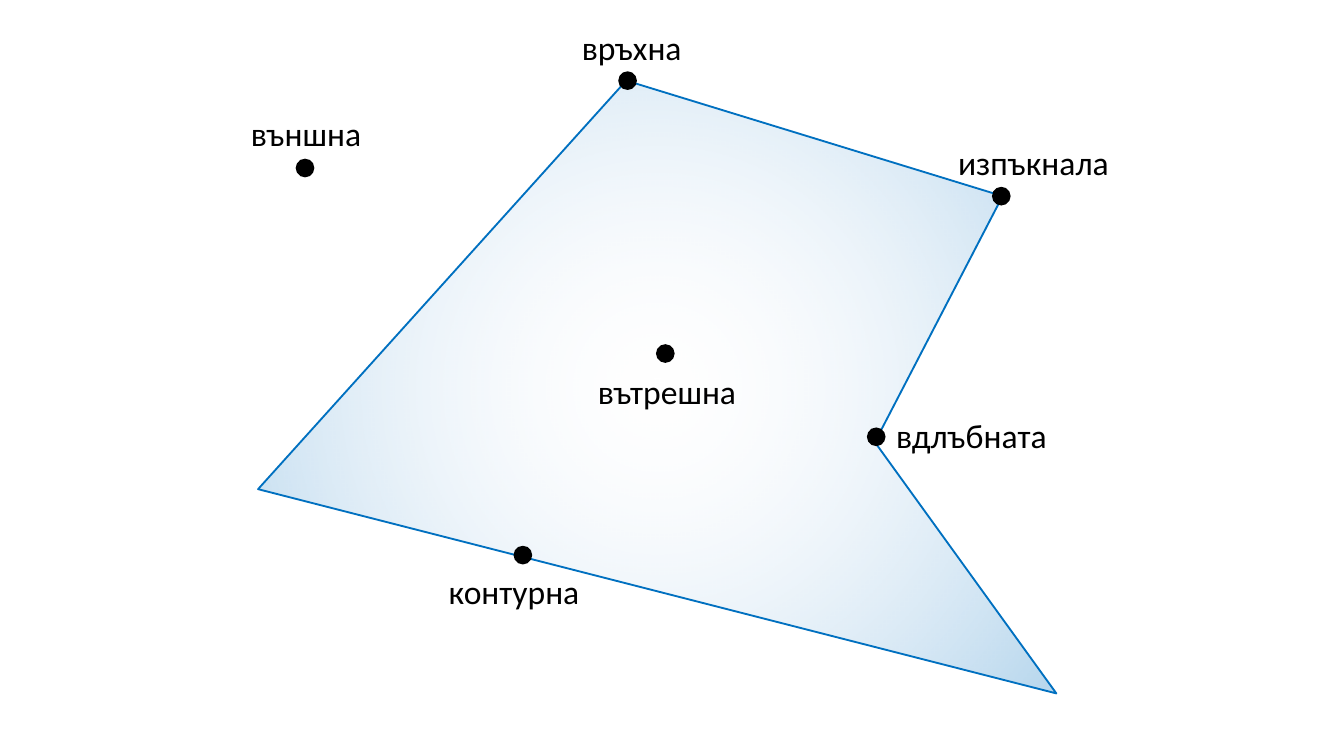
from lxml import etree
from pptx import Presentation
from pptx.dml.color import RGBColor as Rgb
from pptx.enum.shapes import MSO_SHAPE as Shape
from pptx.enum.text import MSO_AUTO_SIZE as AutoSize
from pptx.oxml import parse_xml
from pptx.oxml.ns import nsdecls, qn
from pptx.util import Pt

COLOURS = {"ink": "000000", "edge": "0070C0", "centre": "E1E8F5"}

VERTICES = [(138.24, 262.1), (335.5, 43.2), (537.1, 105.1),
            (468.7, 236.9), (565.9, 371.5)]

# label, centre of the dot, left, top and width of the label
POINTS = [
    ("връхна", (336.2, 43.2), (304.6, 10.8, 68.4)),
    ("изпъкнала", (536.4, 105.1), (506.2, 72.7, 95.8)),
    ("вдлъбната", (469.4, 234), (473, 218.9, 95.8)),
    ("външна", (163.4, 90), (127.4, 56.9, 74.2)),
    ("вътрешна", (356.4, 189.4), (313.2, 195.1, 89.3)),
    ("контурна", (280.1, 297.4), (233.3, 302.4, 85.7)),
]


class Diagram:
    font = "Calibri"
    font_size = 18
    label_height = 29
    dot_size = 10

    def __init__(self, slide):
        self.slide = slide

    def colour(self, name):
        return Rgb.from_string(COLOURS[name])

    def polygon(self, vertices):
        start, *others = [(Pt(x), Pt(y)) for x, y in vertices]
        builder = self.slide.shapes.build_freeform(*start, scale=1.0)
        builder.add_line_segments(others, close=True)
        shape = builder.convert_to_shape()
        shape.shadow.inherit = False
        shape.line.color.rgb = self.colour("edge")
        shape.line.width = Pt(1)
        self.radial_fill(shape, [(0, "centre", 0), (100, "edge", 29)])

    def radial_fill(self, shape, stops):
        """Fill from the middle outwards; stops are (percent, colour, opacity percent)."""
        gradient = parse_xml(f'<a:gradFill {nsdecls("a")} rotWithShape="1"><a:gsLst/>'
                             '<a:path path="circle"><a:fillToRect l="50000" t="50000" '
                             'r="50000" b="50000"/></a:path></a:gradFill>')
        for position, name, opacity in stops:
            stop = etree.SubElement(gradient[0], qn("a:gs"), pos=str(position * 1000))
            colour = etree.SubElement(stop, qn("a:srgbClr"), val=COLOURS[name])
            etree.SubElement(colour, qn("a:alpha"), val=str(opacity * 1000))
        shape.fill.background()
        properties = shape.element.spPr
        properties.replace(properties.find(qn("a:noFill")), gradient)

    def dot(self, x, y):
        size = self.dot_size
        shape = self.slide.shapes.add_shape(
            Shape.OVAL, Pt(x - size / 2), Pt(y - size / 2), Pt(size), Pt(size))
        shape.shadow.inherit = False
        shape.fill.solid()
        shape.fill.fore_color.rgb = self.colour("ink")
        shape.line.fill.background()

    def label(self, text, left, top, width):
        box = self.slide.shapes.add_textbox(
            Pt(left), Pt(top), Pt(width), Pt(self.label_height))
        frame = box.text_frame
        frame.text = text
        frame.word_wrap = False
        frame.auto_size = AutoSize.SHAPE_TO_FIT_TEXT
        font = frame.paragraphs[0].runs[0].font
        font.name = self.font
        font.size = Pt(self.font_size)
        font.color.rgb = self.colour("ink")


def main():
    deck = Presentation()
    deck.slide_width, deck.slide_height = Pt(720), Pt(405)
    diagram = Diagram(deck.slides.add_slide(deck.slide_layouts[6]))
    diagram.polygon(VERTICES)
    for text, centre, place in POINTS:
        diagram.dot(*centre)
        diagram.label(text, *place)
    deck.save("out.pptx")


if __name__ == "__main__":
    main()
